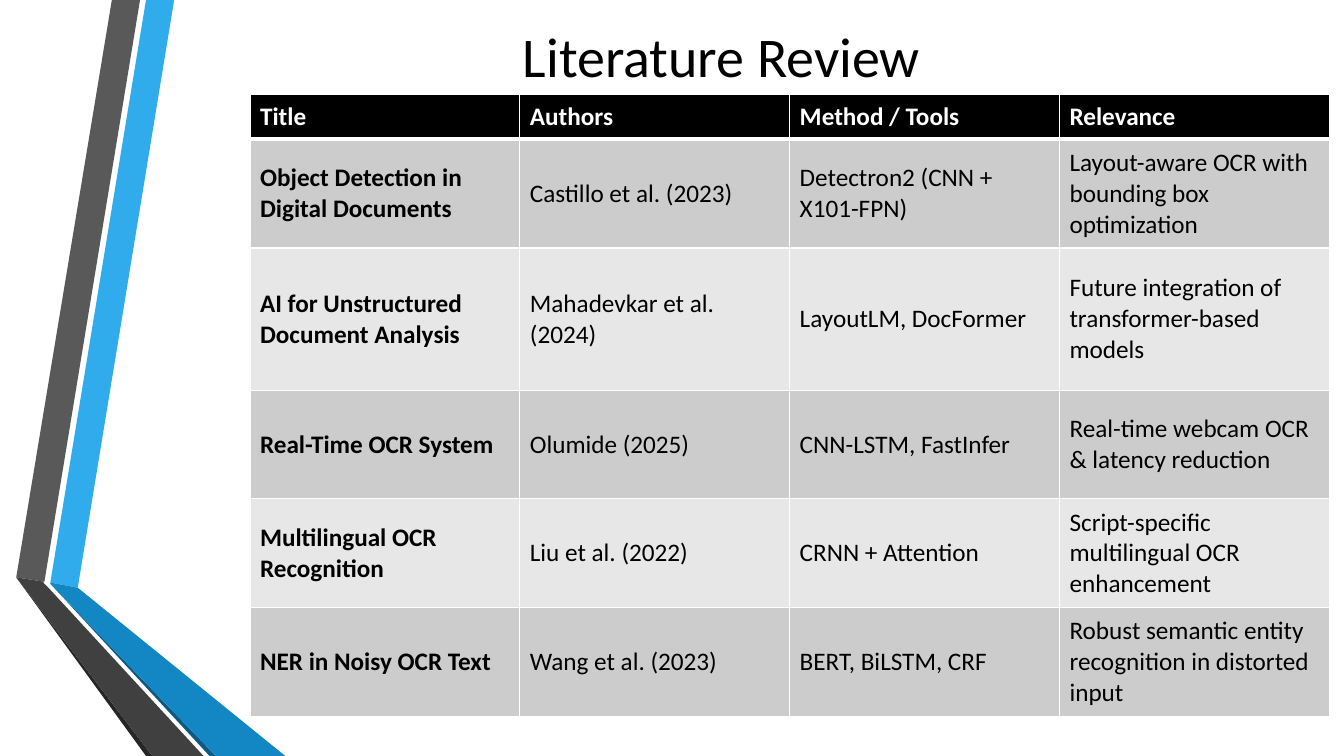
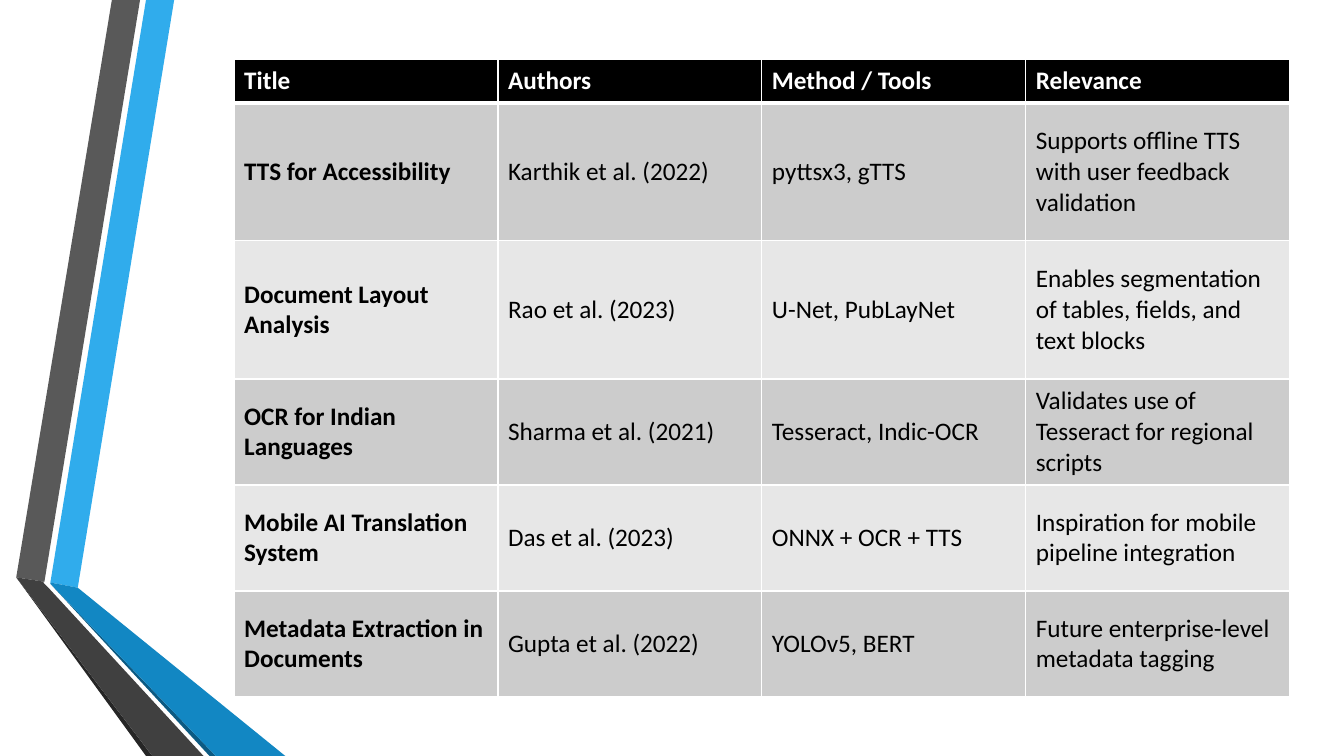
from lxml import etree
from pptx import Presentation
from pptx.dml.color import RGBColor
from pptx.enum import text
from pptx.oxml import ns
from pptx.util import Cm, Pt

FONT = "Calibri"
BLACK, WHITE = "000000", "FFFFFF"
BAND_FILLS = ["CCCCCC", "E7E7E7"]
HEADINGS = ["Title", "Authors", "Method / Tools", "Relevance"]

# Ribbon pieces from back to front: fill and corner points in cm
RIBBONS = [
    ("30ACEC", [(1.27, 14.68), (1.96, 14.81), (4.39, 0), (3.68, 0)]),
    ("595959", [(3.53, 0), (2.82, 0), (0.41, 14.55), (1.12, 14.66)]),
    ("262626", [(0.41, 14.55), (3.68, 19.05), (3.84, 19.05)]),
    ("0C5A82", [(1.27, 14.71), (5.28, 19.05), (5.44, 19.05)]),
    ("1287C3", [(1.27, 14.68), (1.27, 14.71), (5.44, 19.05), (7.19, 19.05), (1.96, 14.81)]),
    ("404040", [(5.13, 19.05), (1.22, 14.81), (1.09, 14.68), (1.12, 14.66),
                (0.41, 14.55), (3.84, 19.05)]),
]

REVIEWS = [
    {
        "title": "Literature Review",
        "left": 6.3, "top": 2.39, "column": 6.8,
        "heights": [1.12, 2.74, 3.58, 2.74, 2.74, 2.74],
        "rows": [
            ["Object Detection in Digital Documents", "Castillo et al. (2023)",
             "Detectron2 (CNN + X101-FPN)", "Layout-aware OCR with bounding box optimization"],
            ["AI for Unstructured Document Analysis", "Mahadevkar et al. (2024)",
             "LayoutLM, DocFormer", "Future integration of transformer-based models"],
            ["Real-Time OCR System", "Olumide (2025)",
             "CNN-LSTM, FastInfer", "Real-time webcam OCR & latency reduction"],
            ["Multilingual OCR Recognition", "Liu et al. (2022)",
             "CRNN + Attention", "Script-specific multilingual OCR enhancement"],
            ["NER in Noisy OCR Text", "Wang et al. (2023)",
             "BERT, BiLSTM, CRF", "Robust semantic entity recognition in distorted input"],
        ],
    },
    {
        "title": None,
        "left": 5.9, "top": 1.5, "column": 6.65,
        "heights": [1.09, 3.48, 3.48, 2.67, 2.67, 2.67],
        "rows": [
            ["TTS for Accessibility", "Karthik et al. (2022)",
             "pyttsx3, gTTS", "Supports offline TTS with user feedback validation"],
            ["Document Layout Analysis", "Rao et al. (2023)",
             "U-Net, PubLayNet", "Enables segmentation of tables, fields, and text blocks"],
            ["OCR for Indian Languages", "Sharma et al. (2021)",
             "Tesseract, Indic-OCR", "Validates use of Tesseract for regional scripts"],
            ["Mobile AI Translation System", "Das et al. (2023)",
             "ONNX + OCR + TTS", "Inspiration for mobile pipeline integration"],
            ["Metadata Extraction in Documents", "Gupta et al. (2022)",
             "YOLOv5, BERT", "Future enterprise-level metadata tagging"],
        ],
    },
]


def rgb(value):
    return RGBColor.from_string(value)


def write_text(frame, content, size=18, color=BLACK, bold=False):
    run = frame.paragraphs[0].add_run()
    run.text = content
    run.font.name = FONT
    run.font.size = Pt(size)
    run.font.bold = bold
    run.font.color.rgb = rgb(color)


presentation = Presentation()
presentation.slide_width = Cm(33.87)
presentation.slide_height = Cm(19.05)

for review in REVIEWS:
    slide = presentation.slides.add_slide(presentation.slide_layouts[6])

    # Folded ribbons on the left
    for fill, corners in RIBBONS:
        points = [(Cm(x), Cm(y)) for x, y in corners]
        builder = slide.shapes.build_freeform(*points[0])
        builder.add_line_segments(points[1:], close=True)
        ribbon = builder.convert_to_shape()
        ribbon.shadow.inherit = False
        ribbon.fill.solid()
        ribbon.fill.fore_color.rgb = rgb(fill)
        ribbon.line.fill.background()

    # Title
    if review["title"]:
        title = slide.shapes.add_textbox(Cm(12.93), Cm(0.41), Cm(10.9), Cm(1.96))
        title.text_frame.word_wrap = True
        write_text(title.text_frame, review["title"], size=40)

    # Table
    rows = [HEADINGS] + review["rows"]
    heights = review["heights"]
    table = slide.shapes.add_table(
        len(rows), len(HEADINGS), Cm(review["left"]), Cm(review["top"]),
        Cm(review["column"] * len(HEADINGS)), Cm(sum(heights))).table
    for column in table.columns:
        column.width = Cm(review["column"])

    for row_index, (row, height) in enumerate(zip(rows, heights)):
        table.rows[row_index].height = Cm(height)
        is_header = row_index == 0
        fill = BLACK if is_header else BAND_FILLS[(row_index - 1) % 2]
        # The rule between the header and the first row is thicker
        borders = {"lnL": 1, "lnR": 1,
                   "lnT": 3 if row_index == 1 else 1,
                   "lnB": 3 if is_header else 1}

        for column_index, content in enumerate(row):
            cell = table.cell(row_index, column_index)
            cell.vertical_anchor = text.MSO_ANCHOR.MIDDLE
            write_text(cell.text_frame, content,
                       color=WHITE if is_header else BLACK,
                       bold=is_header or column_index == 0)
            properties = cell._tc.get_or_add_tcPr()
            for tag, width in borders.items():
                line = etree.SubElement(properties, ns.qn(f"a:{tag}"), w=str(Pt(width)))
                solid = etree.SubElement(line, ns.qn("a:solidFill"))
                etree.SubElement(solid, ns.qn("a:srgbClr"), val=WHITE)
            cell.fill.solid()
            cell.fill.fore_color.rgb = rgb(fill)

presentation.save("out.pptx")
